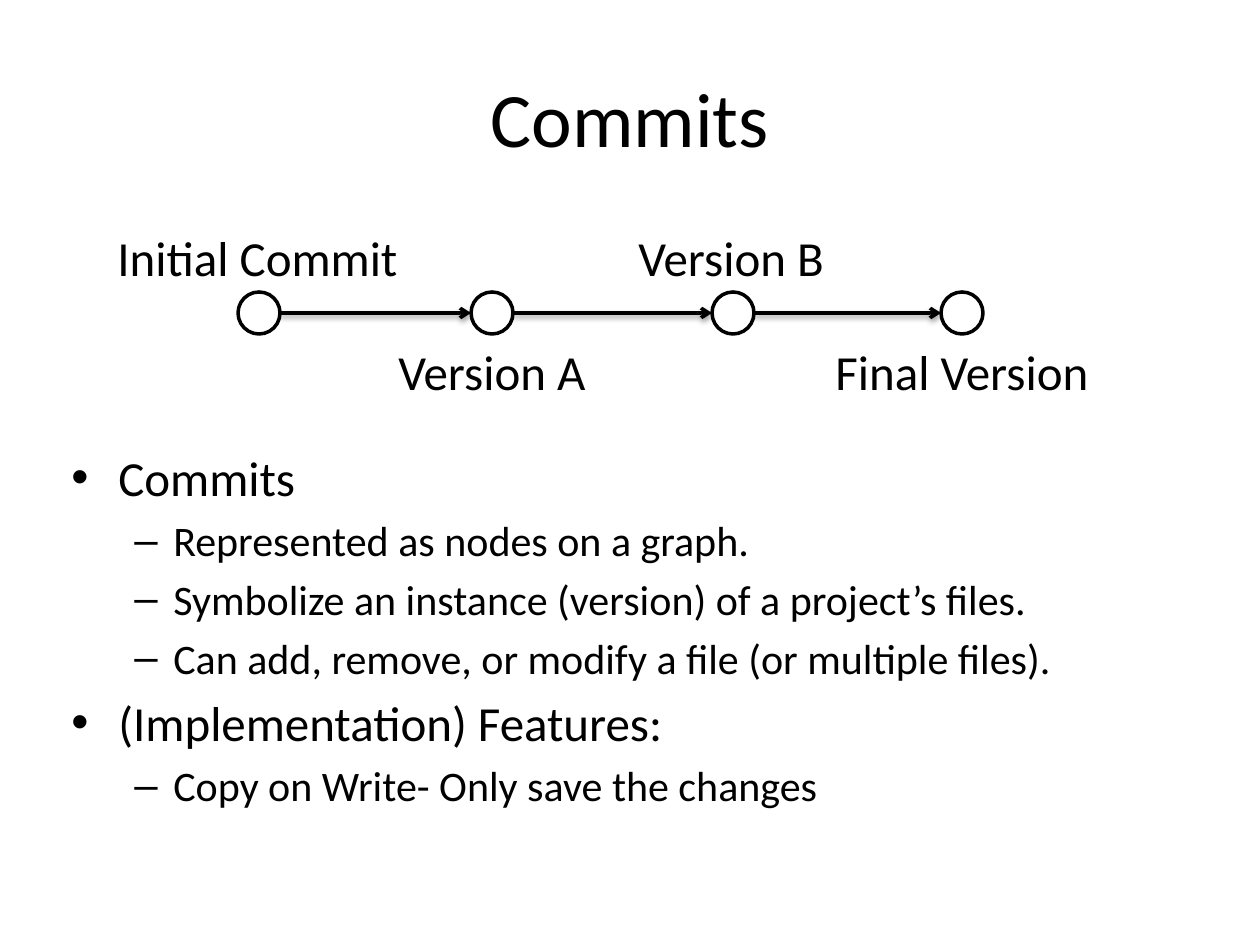
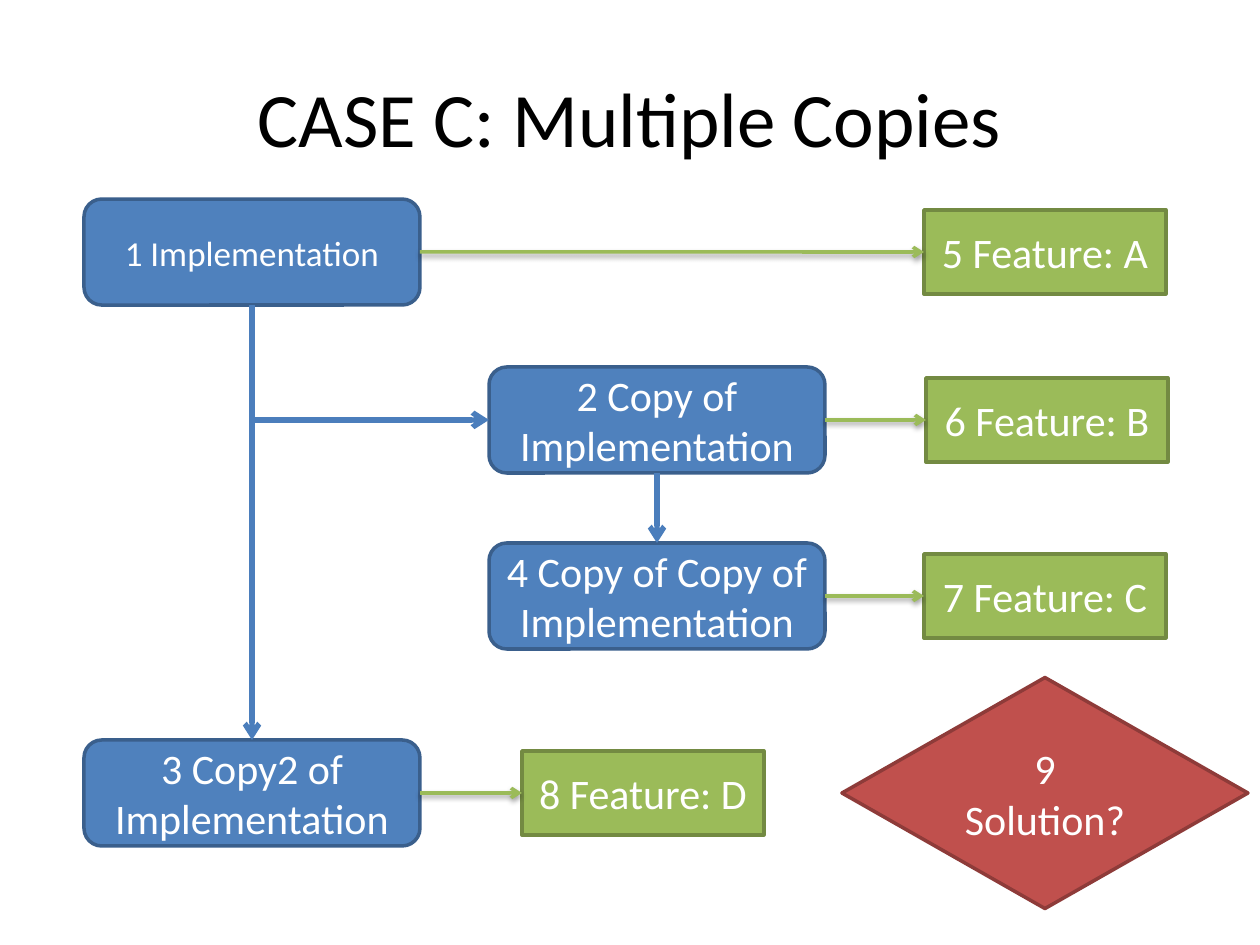
from pptx import Presentation
from pptx.dml.color import RGBColor
from pptx.enum.shapes import MSO_CONNECTOR, MSO_SHAPE
from pptx.enum.text import MSO_ANCHOR, PP_ALIGN
from pptx.oxml.ns import qn
from pptx.util import Pt
from lxml.etree import SubElement

FONT = "Calibri"
BLACK, WHITE = "000000", "FFFFFF"
BLUE, GREEN, RED = "4F81BD", "9BBB59", "C0504D"
BLUE_ARROW = "4B7EBC"
EDGES = {BLUE: "3A5F8C", GREEN: "738A42", RED: "8E3B39"}
TITLE_BOX = (63, 38, 1134, 158)
TOP, LEFT, BOTTOM, RIGHT = range(4)

COMMITS = [
    ("Initial Commit", 238, 105, 309),
    ("Version A", 471, 386, 214),
    ("Version B", 712, 626, 213),
    ("Final Version", 941, 823, 281),
]
NODE_TOP, NODE_SIZE = 292, 42
LABEL_TOPS, LABEL_HEIGHT = (221, 335), 72

BODY_BOX = (59, 441, 1134, 462)
LEVELS = [(28, "•", 47, 47), (24, "–", 102, 39)]
BULLETS = [
    (0, "Commits"),
    (1, "Represented as nodes on a graph."),
    (1, "Symbolize an instance (version) of a project’s files."),
    (1, "Can add, remove, or modify a file (or multiple files)."),
    (0, "(Implementation) Features:"),
    (1, "Copy on Write- Only save the changes"),
]

KINDS = {
    "copy": (MSO_SHAPE.ROUNDED_RECTANGLE, 336, 106, BLUE),
    "feature": (MSO_SHAPE.RECTANGLE, 242, 84, GREEN),
    "solution": (MSO_SHAPE.FLOWCHART_DECISION, 406, 231, RED),
}
ROWS = [252, 420, 596, 793]
BOXES = [
    ("copy", 84, 0, "1 Implementation", 20),
    ("copy", 489, 1, "2 Copy of Implementation", 24),
    ("copy", 84, 3, "3 Copy2 of Implementation", 24),
    ("copy", 489, 2, "4 Copy of Copy of Implementation", 24),
    ("feature", 924, 0, "5 Feature: A", 24),
    ("feature", 926, 1, "6 Feature: B", 24),
    ("feature", 924, 2, "7 Feature: C", 24),
    ("feature", 522, 3, "8 Feature: D", 24),
    ("solution", 842, 3, "9 Solution?", 24),
]
FEATURE_LINKS = [(1, 5), (2, 6), (4, 7), (3, 8)]
COPY_LINKS = [(2, 4), (1, 3)]


def emu(*lengths):
    return [round(n * 914400 / 126) for n in lengths]


def rgb(color):
    return RGBColor.from_string(color)


def style(p, size, color=BLACK):
    for r in p.runs:
        r.font.name = FONT
        r.font.size = Pt(size)
        r.font.color.rgb = rgb(color)


def add_slide(title):
    s = prs.slides.add_slide(prs.slide_layouts[5])
    sp = s.shapes.title
    sp.left, sp.top, sp.width, sp.height = emu(*TITLE_BOX)
    tf = sp.text_frame
    tf.text = title
    tf.vertical_anchor = MSO_ANCHOR.MIDDLE
    tf.paragraphs[0].alignment = PP_ALIGN.CENTER
    style(tf.paragraphs[0], 44)
    return s


def add_shape(s, kind, box, fill, edge):
    sp = s.shapes.add_shape(kind, *emu(*box))
    sp.shadow.inherit = False
    sp.fill.solid()
    sp.fill.fore_color.rgb = rgb(fill)
    sp.line.color.rgb = rgb(edge)
    sp.line.width = Pt(2)
    return sp


def add_arrow(s, ends, color, width, shadow=False, kind=MSO_CONNECTOR.STRAIGHT):
    c = s.shapes.add_connector(kind, *ends)
    c.line.color.rgb = rgb(color)
    c.line.width = Pt(width)
    SubElement(c.line._get_or_add_ln(), qn("a:tailEnd"), type="arrow")
    effects = SubElement(c._element.spPr, qn("a:effectLst"))
    if shadow:
        shade = SubElement(effects, qn("a:outerShdw"), blurRad="40000",
                           dist="20000", dir="5400000", rotWithShape="0")
        tint = SubElement(shade, qn("a:srgbClr"), val=BLACK)
        SubElement(tint, qn("a:alpha"), val="38000")
    return c


def link(s, start, start_side, end, end_side, color, width, shadow=False):
    c = add_arrow(s, (0, 0, 0, 0), color, width, shadow)
    c.begin_connect(start, start_side)
    c.end_connect(end, end_side)


def add_down_then_right(s, start, end):
    x1, y1 = start.left + start.width // 2, start.top + start.height
    x2, y2 = end.left, end.top + end.height // 2
    cx, cy = (x1 + x2) // 2, (y1 + y2) // 2
    dx, dy = (x2 - x1) // 2, (y2 - y1) // 2
    c = add_arrow(s, (cx + dy, cy - dx, cx - dy, cy + dx), BLUE_ARROW, 3,
                  kind=MSO_CONNECTOR.ELBOW)
    spPr = c._element.spPr
    spPr.find(qn("a:xfrm")).set("rot", "16200000")
    spPr.find(qn("a:prstGeom")).set("prst", "bentConnector2")


def add_bullets(s):
    tf = s.shapes.add_textbox(*emu(*BODY_BOX)).text_frame
    tf.word_wrap = True
    tf.text = "\n".join(text for _, text in BULLETS)
    for p, (level, _) in zip(tf.paragraphs, BULLETS):
        size, mark, margin, hang = LEVELS[level]
        p.level = level
        p.space_before = Pt(size * 0.2)
        style(p, size)
        pPr = p._p.get_or_add_pPr()
        left, indent = emu(margin, -hang)
        pPr.set("marL", str(left))
        pPr.set("indent", str(indent))
        SubElement(pPr, qn("a:buFont"), typeface="Arial")
        SubElement(pPr, qn("a:buChar"), char=mark)


def build_commits():
    s = add_slide("Commits")
    add_bullets(s)
    for i, (name, x, label_x, label_w) in enumerate(COMMITS):
        add_shape(s, MSO_SHAPE.OVAL, (x, NODE_TOP, NODE_SIZE, NODE_SIZE), WHITE, BLACK)
        box = (label_x, LABEL_TOPS[i % 2], label_w, LABEL_HEIGHT)
        tf = s.shapes.add_textbox(*emu(*box)).text_frame
        tf.word_wrap = False
        tf.text = name
        style(tf.paragraphs[0], 28)
    y = NODE_TOP + NODE_SIZE // 2
    for a, b in zip(COMMITS, COMMITS[1:]):
        add_arrow(s, emu(a[1] + NODE_SIZE, y, b[1], y), BLACK, 2, shadow=True)


def build_copies():
    s = add_slide("CASE C: Multiple Copies")
    boxes = {}
    for number, (kind, x, row, text, size) in enumerate(BOXES, 1):
        preset, w, h, fill = KINDS[kind]
        sp = add_shape(s, preset, (x, ROWS[row] - h / 2, w, h), fill, EDGES[fill])
        tf = sp.text_frame
        tf.word_wrap = True
        tf.vertical_anchor = MSO_ANCHOR.MIDDLE
        tf.text = text
        tf.paragraphs[0].alignment = PP_ALIGN.CENTER
        style(tf.paragraphs[0], size, WHITE)
        boxes[number] = sp
    for a, b in FEATURE_LINKS:
        link(s, boxes[a], RIGHT, boxes[b], LEFT, GREEN, 2, shadow=True)
    for a, b in COPY_LINKS:
        link(s, boxes[a], BOTTOM, boxes[b], TOP, BLUE_ARROW, 3)
    add_down_then_right(s, boxes[1], boxes[2])


prs = Presentation()
prs.slide_width, prs.slide_height = emu(1260, 945)
build_commits()
build_copies()
prs.save("out.pptx")
